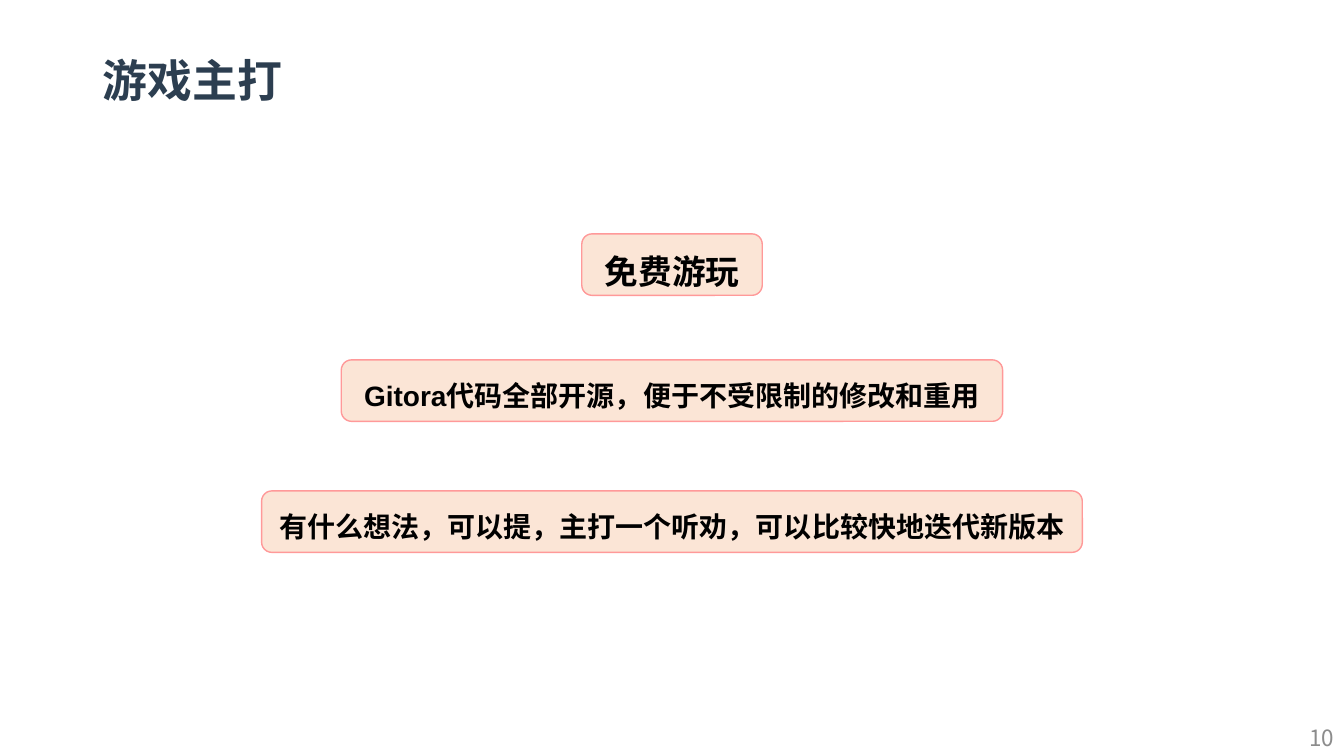
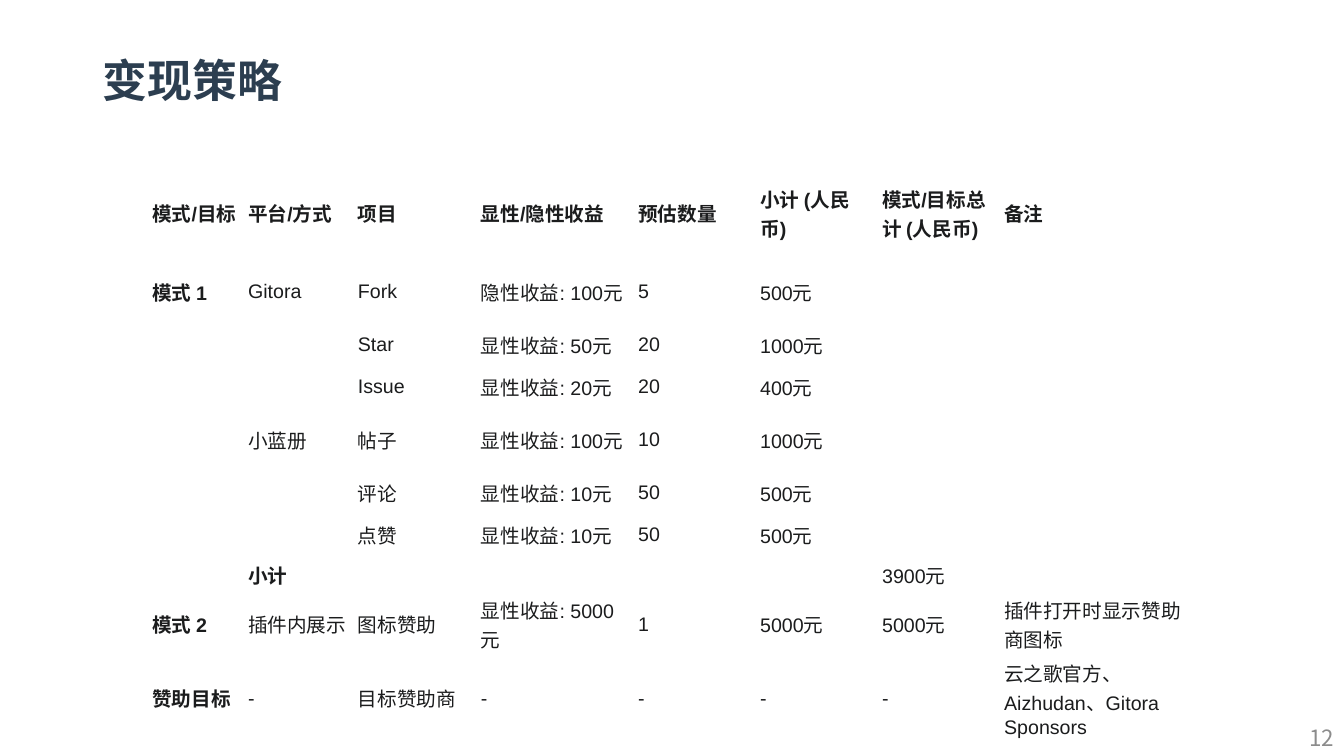
from dataclasses import dataclass

from lxml import etree
from pptx import Presentation
from pptx.dml.color import RGBColor
from pptx.enum import shapes, text
from pptx.oxml.ns import qn
from pptx.util import Inches, Pt


@dataclass(frozen=True)
class Theme:
    cjk: str = "Noto Sans CJK SC"
    latin: str = "Arial"
    title: str = "2C3E50"
    page: str = "8C8C8C"
    black: str = "000000"
    cell: str = "1B1C1D"
    box_fill: str = "FBE5D6"
    box_line: str = "FF9999"
    title_size: int = 32
    page_size: int = 16
    lead_size: int = 24
    box_size: int = 20
    cell_size: int = 14


T = Theme()
WIDTH, HEIGHT = 13.33, 7.5


def write(tf, words, size, color, font, bold=False, align=None, spacing=None):
    """Fill the first paragraph with one run, Latin and East Asian fonts set."""
    p = tf.paragraphs[0]
    for name, value in {"alignment": align, "line_spacing": spacing}.items():
        setattr(p, name, value)
    r = p.add_run()
    r.text = words
    for name, value in {"size": Pt(size), "bold": bold, "name": font}.items():
        setattr(r.font, name, value)
    r.font.color.rgb = RGBColor.from_string(color)
    etree.SubElement(r.font._element, qn("a:ea"), typeface=T.cjk)


def titled_slide(prs, title, page):
    s = prs.slides.add_slide(prs.slide_layouts[5])
    sp = s.shapes.title
    place = {"left": 0.92, "top": 0.53, "width": 12.29, "height": 0.77}
    for name, value in place.items():
        setattr(sp, name, Inches(value))
    tf = sp.text_frame
    tf.vertical_anchor = text.MSO_ANCHOR.TOP
    write(tf, title, T.title_size, T.title, T.cjk, True, text.PP_ALIGN.LEFT, 0.9)

    w, h = 0.47, 0.37
    tf = s.shapes.add_textbox(Inches(WIDTH - w), Inches(HEIGHT - h),
                              Inches(w), Inches(h)).text_frame
    tf.word_wrap = False
    tf.vertical_anchor = text.MSO_ANCHOR.MIDDLE
    write(tf, page, T.page_size, T.page, T.cjk, align=text.PP_ALIGN.RIGHT)
    return s


prs = Presentation()
prs.slide_width, prs.slide_height = Inches(WIDTH), Inches(HEIGHT)

# Selling points: centred boxes
s = titled_slide(prs, "游戏主打", "10")
points = [
    ("免费游玩", 2.32, 1.79, T.lead_size, T.cjk),
    ("Gitora代码全部开源，便于不受限制的修改和重用", 3.57, 6.56, T.box_size, T.latin),
    ("有什么想法，可以提，主打一个听劝，可以比较快地迭代新版本", 4.87, 8.14,
     T.box_size, T.latin),
]
for words, top, width, size, font in points:
    sp = s.shapes.add_shape(shapes.MSO_SHAPE.ROUNDED_RECTANGLE,
                            Inches((WIDTH - width) / 2), Inches(top),
                            Inches(width), Inches(0.61))
    sp.shadow.inherit = False
    sp.fill.solid()
    sp.fill.fore_color.rgb = RGBColor.from_string(T.box_fill)
    sp.line.color.rgb = RGBColor.from_string(T.box_line)
    sp.line.width = Pt(1)
    sp.text_frame.vertical_anchor = text.MSO_ANCHOR.MIDDLE
    write(sp.text_frame, words, size, T.black, font, True, text.PP_ALIGN.CENTER, 1.3)

# Revenue table
s = titled_slide(prs, "变现策略", "12")
rows = [
    ["模式/目标", "平台/方式", "项目", "显性/隐性收益", "预估数量", "小计 (人民币)",
     "模式/目标总计 (人民币)", "备注"],
    ["模式 1", "Gitora", "Fork", "隐性收益: 100元", "5", "500元", "", ""],
    ["", "", "Star", "显性收益: 50元", "20", "1000元", "", ""],
    ["", "", "Issue", "显性收益: 20元", "20", "400元", "", ""],
    ["", "小蓝册", "帖子", "显性收益: 100元", "10", "1000元", "", ""],
    ["", "", "评论", "显性收益: 10元", "50", "500元", "", ""],
    ["", "", "点赞", "显性收益: 10元", "50", "500元", "", ""],
    ["", "小计", "", "", "", "", "3900元", ""],
    ["模式 2", "插件内展示", "图标赞助", "显性收益: 5000元", "1", "5000元", "5000元",
     "插件打开时显示赞助商图标"],
    ["赞助目标", "-", "目标赞助商", "-", "-", "-", "-",
     "云之歌官方、Aizhudan、Gitora Sponsors"],
]
col_widths = [0.95, 1.09, 1.22, 1.56, 1.21, 1.21, 1.21, 1.96]
one_line, two_lines = 0.42, 0.63
row_heights = [0.93, two_lines, one_line, one_line, two_lines, one_line, one_line,
               0.36, two_lines, 0.84]
table = s.shapes.add_table(len(rows), len(col_widths), Inches(1.46), Inches(1.65),
                           Inches(sum(col_widths)), Inches(sum(row_heights))).table
table.first_row = table.horz_banding = False
for col, width in zip(table.columns, col_widths):
    col.width = Inches(width)
for row, height in zip(table.rows, row_heights):
    row.height = Inches(height)

cell_format = {"margin_left": Inches(0.05), "margin_right": Inches(0.05),
               "margin_top": Inches(0.03), "margin_bottom": Inches(0.03),
               "vertical_anchor": text.MSO_ANCHOR.MIDDLE}
for i, row in enumerate(rows):
    for j, words in enumerate(row):
        cell = table.cell(i, j)
        for name, value in cell_format.items():
            setattr(cell, name, value)
        cell.fill.background()
        bold = i == 0 or j == 0 or words == "小计"
        write(cell.text_frame, words, T.cell_size, T.cell, T.latin, bold)

prs.save("out.pptx")
